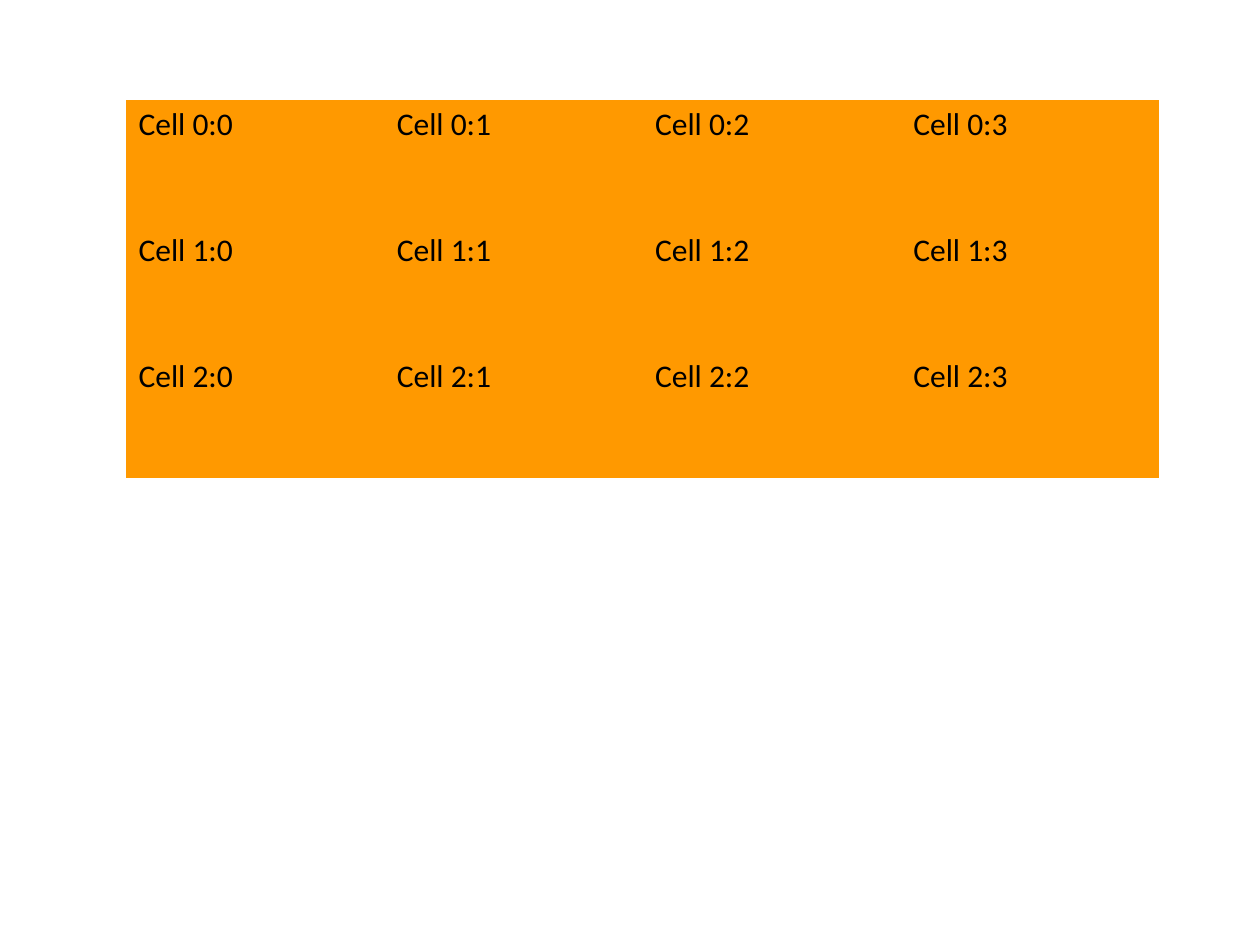
from pptx import Presentation
from pptx.dml.color import RGBColor
from pptx.oxml.ns import qn
from pptx.util import Inches, Pt

BLANK_LAYOUT = 6
NO_STYLE_NO_GRID = "{2D5ABB26-0587-4C30-8999-92F81FD0307C}"


def color(hex_value):
    return RGBColor.from_string(hex_value)


class SlideBuilder:
    font_name = "Calibri"
    font_size = Pt(18)
    text_color = "000000"
    cell_color = "FF9900"

    def __init__(self, slide):
        self.slide = slide

    def add_text(self, paragraph, text):
        run = paragraph.add_run()
        run.text = text
        run.font.name = self.font_name
        run.font.size = self.font_size
        run.font.color.rgb = color(self.text_color)

    def add_table(self, rows, left, top, column_width, row_height):
        """Add a borderless table with equal columns and equal rows."""
        row_count, column_count = len(rows), len(rows[0])
        frame = self.slide.shapes.add_table(
            row_count, column_count, Inches(left), Inches(top),
            Inches(column_width * column_count), Inches(row_height * row_count))
        frame.element.find(".//" + qn("a:tableStyleId")).text = NO_STYLE_NO_GRID
        table = frame.table
        table.first_row = False
        table.horz_banding = False
        for row_index, row in enumerate(rows):
            for column_index, text in enumerate(row):
                cell = table.cell(row_index, column_index)
                cell.fill.solid()
                cell.fill.fore_color.rgb = color(self.cell_color)
                self.add_text(cell.text_frame.paragraphs[0], text)


def main():
    presentation = Presentation()
    presentation.slide_width = Inches(10)
    presentation.slide_height = Inches(7.5)
    slide = presentation.slides.add_slide(presentation.slide_layouts[BLANK_LAYOUT])

    rows = [[f"Cell {row}:{column}" for column in range(4)] for row in range(3)]
    SlideBuilder(slide).add_table(rows, left=1, top=0.79, column_width=2.05, row_height=1)

    presentation.save("out.pptx")


if __name__ == "__main__":
    main()
